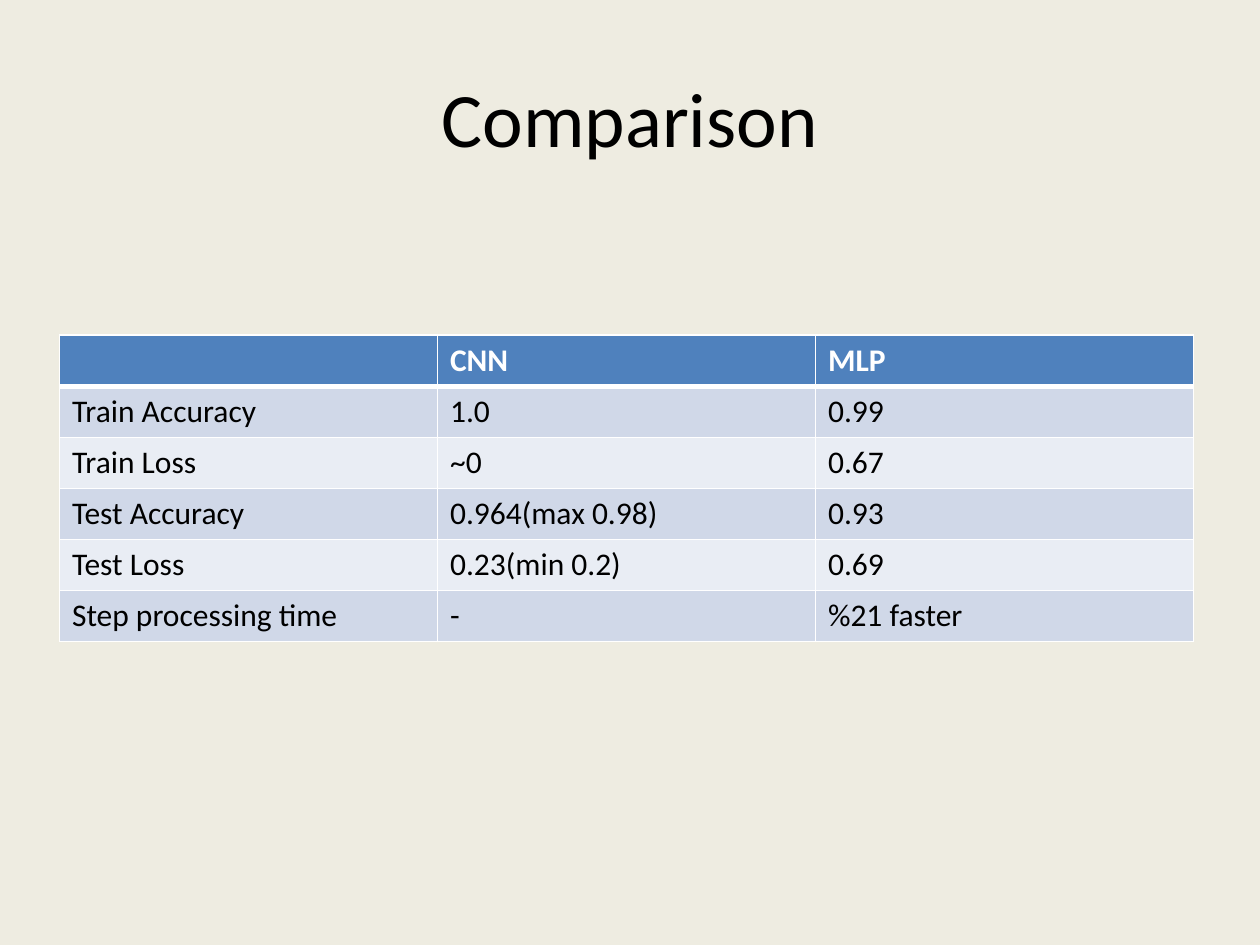
"""Build the slide comparing the CNN and MLP results in a table."""
from dataclasses import dataclass

from lxml.etree import SubElement
from pptx import Presentation
from pptx.dml.color import RGBColor
from pptx.enum.text import MSO_ANCHOR, PP_ALIGN
from pptx.oxml.ns import qn
from pptx.slide import Slide
from pptx.table import _Cell
from pptx.text.text import _Paragraph
from pptx.util import Pt

FONT = "Calibri"
WHITE, BLACK, BACKGROUND = "FFFFFF", "000000", "EEECE1"
TABLE_LEFT, TABLE_TOP = 34, 191.5
COLUMN_WIDTH, ROW_HEIGHT = 216, 29.2


@dataclass(frozen=True)
class RowStyle:
    fill: str
    text: str
    bold: bool
    top_line: float = 1
    bottom_line: float = 1


@dataclass(frozen=True)
class ResultRow:
    label: str
    cnn: str
    mlp: str


HEADER = RowStyle("4F81BD", WHITE, True, bottom_line=3)
FIRST_BAND = RowStyle("D0D8E8", BLACK, False, top_line=3)
DARK_BAND = RowStyle("D0D8E8", BLACK, False)
LIGHT_BAND = RowStyle("E9EDF4", BLACK, False)

ROWS = [
    (ResultRow("", "CNN", "MLP"), HEADER),
    (ResultRow("Train Accuracy", "1.0", "0.99"), FIRST_BAND),
    (ResultRow("Train Loss", "~0", "0.67"), LIGHT_BAND),
    (ResultRow("Test Accuracy", "0.964(max 0.98)", "0.93"), DARK_BAND),
    (ResultRow("Test Loss", "0.23(min 0.2)", "0.69"), LIGHT_BAND),
    (ResultRow("Step processing time", "-", "%21 faster"), DARK_BAND),
]


def color(value: str) -> RGBColor:
    return RGBColor.from_string(value)


def add_span(para: _Paragraph, text: str, size: float, text_color: str, bold: bool = False) -> None:
    span = para.add_run()
    span.text = text
    span.font.name = FONT
    span.font.size = Pt(size)
    span.font.bold = bold
    span.font.color.rgb = color(text_color)


def add_border(cell: _Cell, side: str, width: float) -> None:
    properties = cell._tc.get_or_add_tcPr()
    line = SubElement(properties, qn(f"a:ln{side}"), w=str(Pt(width)))
    fill = SubElement(line, qn("a:solidFill"))
    SubElement(fill, qn("a:srgbClr"), val=WHITE)


def format_cell(cell: _Cell, text: str, style: RowStyle) -> None:
    borders = {"L": 1, "R": 1, "T": style.top_line, "B": style.bottom_line}
    for side, width in borders.items():
        add_border(cell, side, width)
    cell.fill.solid()
    cell.fill.fore_color.rgb = color(style.fill)
    if text:
        add_span(cell.text_frame.paragraphs[0], text, 18, style.text, style.bold)


def add_title(slide: Slide, text: str) -> None:
    box = slide.shapes.title
    box.left, box.top, box.width, box.height = Pt(36), Pt(21.6), Pt(648), Pt(90)
    box.text_frame.vertical_anchor = MSO_ANCHOR.MIDDLE
    para = box.text_frame.paragraphs[0]
    para.alignment = PP_ALIGN.CENTER
    add_span(para, text, 44, BLACK)


def add_results(slide: Slide) -> None:
    columns = 3
    table = slide.shapes.add_table(
        len(ROWS), columns, Pt(TABLE_LEFT), Pt(TABLE_TOP),
        Pt(COLUMN_WIDTH * columns), Pt(ROW_HEIGHT * len(ROWS)),
    ).table
    for row, (result, style) in zip(table.rows, ROWS):
        row.height = Pt(ROW_HEIGHT)
        for cell, text in zip(row.cells, (result.label, result.cnn, result.mlp)):
            format_cell(cell, text, style)


def main() -> None:
    deck = Presentation()
    deck.slide_width, deck.slide_height = Pt(720), Pt(540)
    slide = deck.slides.add_slide(deck.slide_layouts[5])
    slide.background.fill.solid()
    slide.background.fill.fore_color.rgb = color(BACKGROUND)
    add_title(slide, "Comparison")
    add_results(slide)
    deck.save("out.pptx")


if __name__ == "__main__":
    main()
